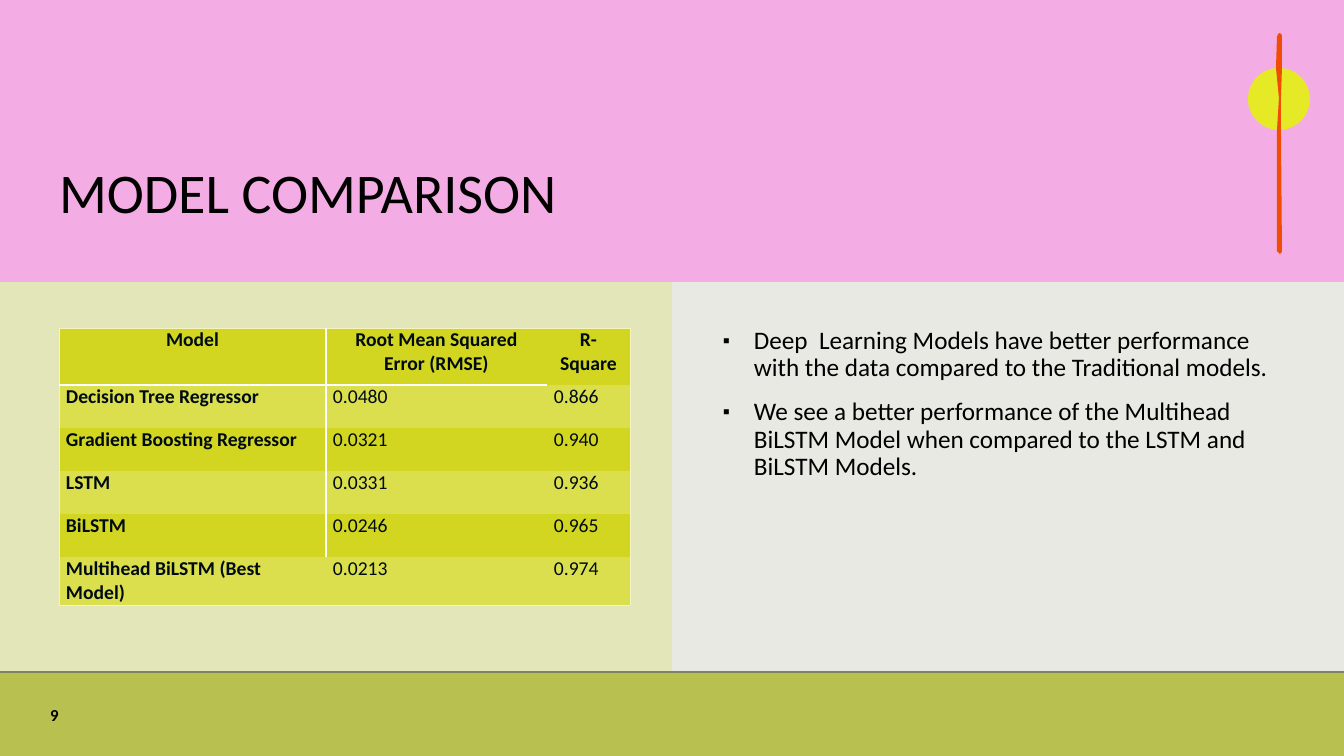
"""Build the model comparison slide."""
from lxml import etree
from pptx import Presentation
from pptx.dml.color import RGBColor
from pptx.enum.shapes import MSO_CONNECTOR, MSO_SHAPE
from pptx.enum.text import MSO_ANCHOR, MSO_AUTO_SIZE, PP_ALIGN
from pptx.oxml.ns import qn
from pptx.util import Pt

RECT, OVAL, LINE = MSO_SHAPE.RECTANGLE, MSO_SHAPE.OVAL, MSO_CONNECTOR.STRAIGHT
TOP, BOTTOM = MSO_ANCHOR.TOP, MSO_ANCHOR.BOTTOM
LEFT, CENTER = PP_ALIGN.LEFT, PP_ALIGN.CENTER
NO_FIT = MSO_AUTO_SIZE.NONE

BLACK = RGBColor(0x00, 0x00, 0x00)
INK = RGBColor(0x00, 0x0B, 0x13)
WHITE = RGBColor(0xFF, 0xFF, 0xFF)
PAPER = RGBColor(0xE8, 0xE9, 0xE2)
PINK = RGBColor(0xF4, 0xAD, 0xE4)
SAGE = RGBColor(0xE3, 0xE6, 0xB9)
OLIVE = RGBColor(0xB8, 0xC0, 0x4F)
RULE = RGBColor(0x7E, 0x82, 0x63)
YELLOW = RGBColor(0xE6, 0xE9, 0x26)
ORANGE = RGBColor(0xF1, 0x4D, 0x02)
DARK = RGBColor(0xD2, 0xD6, 0x20)
LIGHT = RGBColor(0xDB, 0xDE, 0x4D)
EDGE = RGBColor(0xF3, 0xF4, 0xBE)

FONT = "Calibri"
PLAIN = "{2D5ABB26-0587-4C30-8999-92F81FD0307C}"
WIDE, HIGH = 1344, 756
PX = 12192000 / WIDE

TITLE = "MODEL COMPARISON"
NUMBER = "9"
POINTS = [
    "Deep  Learning Models have better performance with the data compared to the Traditional models.",
    "We see a better performance of the Multihead BiLSTM Model when compared to the LSTM and BiLSTM Models.",
]
ROWS = [
    ("Model", "Root Mean Squared Error (RMSE)", "R-Square"),
    ("Decision Tree Regressor", "0.0480", "0.866"),
    ("Gradient Boosting Regressor", "0.0321", "0.940"),
    ("LSTM", "0.0331", "0.936"),
    ("BiLSTM", "0.0246", "0.965"),
    ("Multihead BiLSTM (Best Model)", "0.0213", "0.974"),
]
COLS = [267, 221, 83]
TALL = [57, 43, 43, 43, 43, 48]
SHAPES = [
    (RECT, (0, 282, 672, 474), SAGE),
    (RECT, (0, 672, WIDE, 84), OLIVE),
    (RECT, (0, 0, WIDE, 282), PINK),
    (OVAL, (1248, 68, 62, 62), YELLOW),
]
STROKE = [
    (1276, 68), (1277, 37), (1278, 34), (1280, 33), (1282, 35), (1282, 68),
    (1281, 98), (1281, 129), (1282, 252), (1280, 254), (1277, 251),
    (1277, 130), (1279, 98),
]


def emu(*sizes):
    return [round(size * PX) for size in sizes]


def paint(shape, color):
    shape.shadow.inherit = False
    shape.fill.solid()
    shape.fill.fore_color.rgb = color
    shape.line.fill.background()


def style(para, size, color, bold=False, align=LEFT):
    para.alignment = align
    for run in para.runs:
        font = run.font
        font.name, font.size, font.bold = FONT, Pt(size), bold
        font.color.rgb = color


def place(shape, box, anchor):
    shape.left, shape.top, shape.width, shape.height = emu(*box)
    frame = shape.text_frame
    frame.margin_left = frame.margin_right = 0
    frame.margin_top = frame.margin_bottom = 0
    frame.word_wrap = True
    frame.auto_size = NO_FIT
    frame.vertical_anchor = anchor
    return frame


def bullet(para):
    props = para._p.get_or_add_pPr()
    indent = emu(31)[0]
    props.set("marL", str(indent))
    props.set("indent", str(-indent))
    color = etree.SubElement(props, qn("a:buClr"))
    etree.SubElement(color, qn("a:srgbClr"), val=str(BLACK))
    etree.SubElement(props, qn("a:buSzPct"), val="80000")
    etree.SubElement(props, qn("a:buFont"), typeface="Arial")
    etree.SubElement(props, qn("a:buChar"), char="▪")


def border(cell, side, color, width):
    props = cell._tc.get_or_add_tcPr()
    line = etree.SubElement(props, qn("a:ln" + side), w=str(Pt(width)))
    fill = etree.SubElement(line, qn("a:solidFill"))
    etree.SubElement(fill, qn("a:srgbClr"), val=str(color))


def edges(cell, row, col):
    last = len(ROWS) - 1
    if col == 0:
        border(cell, "L", EDGE, 0.5)
        if row < last:
            border(cell, "R", WHITE, 1)
    if col == 2:
        border(cell, "R", EDGE, 0.5)
    if row == 0:
        border(cell, "T", EDGE, 0.5)
        if col < 2:
            border(cell, "B", WHITE, 1.5)
    if row == last:
        border(cell, "B", EDGE, 0.5)


def add_scores(slide):
    box = emu(59, 328, sum(COLS), sum(TALL))
    table = slide.shapes.add_table(len(ROWS), len(COLS), *box).table
    table._tbl.tblPr.find(qn("a:tableStyleId")).text = PLAIN
    for col, width in zip(table.columns, emu(*COLS)):
        col.width = width
    for row, height in zip(table.rows, emu(*TALL)):
        row.height = height
    for r, words in enumerate(ROWS):
        for c, word in enumerate(words):
            cell = table.cell(r, c)
            edges(cell, r, c)
            cell.fill.solid()
            cell.fill.fore_color.rgb = LIGHT if r % 2 else DARK
            cell.margin_left = cell.margin_right = emu(7)[0]
            cell.margin_top = cell.margin_bottom = 0
            cell.text_frame.text = word
            para = cell.text_frame.paragraphs[0]
            style(para, 14, INK, r == 0 or c == 0, LEFT if r else CENTER)


def main():
    deck = Presentation()
    deck.slide_width, deck.slide_height = emu(WIDE, HIGH)
    slide = deck.slides.add_slide(deck.slide_layouts[5])
    slide.background.fill.solid()
    slide.background.fill.fore_color.rgb = PAPER
    shapes = slide.shapes

    for kind, box, color in SHAPES:
        paint(shapes.add_shape(kind, *emu(*box)), color)
    path = shapes.build_freeform(*STROKE[0], scale=PX)
    path.add_line_segments(STROKE[1:], close=True)
    paint(path.convert_to_shape(), ORANGE)
    rule = shapes.add_connector(LINE, *emu(0, 672, WIDE, 672))
    rule.line.color.rgb = RULE
    rule.line.width = Pt(1)
    etree.SubElement(rule._element.spPr, qn("a:effectLst"))

    title = shapes.title
    shapes._spTree.append(title._element)
    frame = place(title, (59, 45, 1161, 181), BOTTOM)
    frame.text = TITLE
    frame.paragraphs[0].line_spacing = 0.9
    style(frame.paragraphs[0], 40, BLACK)

    body = shapes.add_textbox(0, 0, 0, 0)
    frame = place(body, (723, 328, 557, 294), TOP)
    frame.text = "\n".join(POINTS)
    for para in frame.paragraphs:
        para.line_spacing = 0.9
        para.space_before = Pt(12)
        style(para, 18, BLACK)
        bullet(para)

    frame = place(shapes.add_textbox(0, 0, 0, 0), (50, 695, 71, 30), BOTTOM)
    frame.text = NUMBER
    style(frame.paragraphs[0], 12, BLACK, True)
    add_scores(slide)
    deck.save("out.pptx")


if __name__ == "__main__":
    main()
